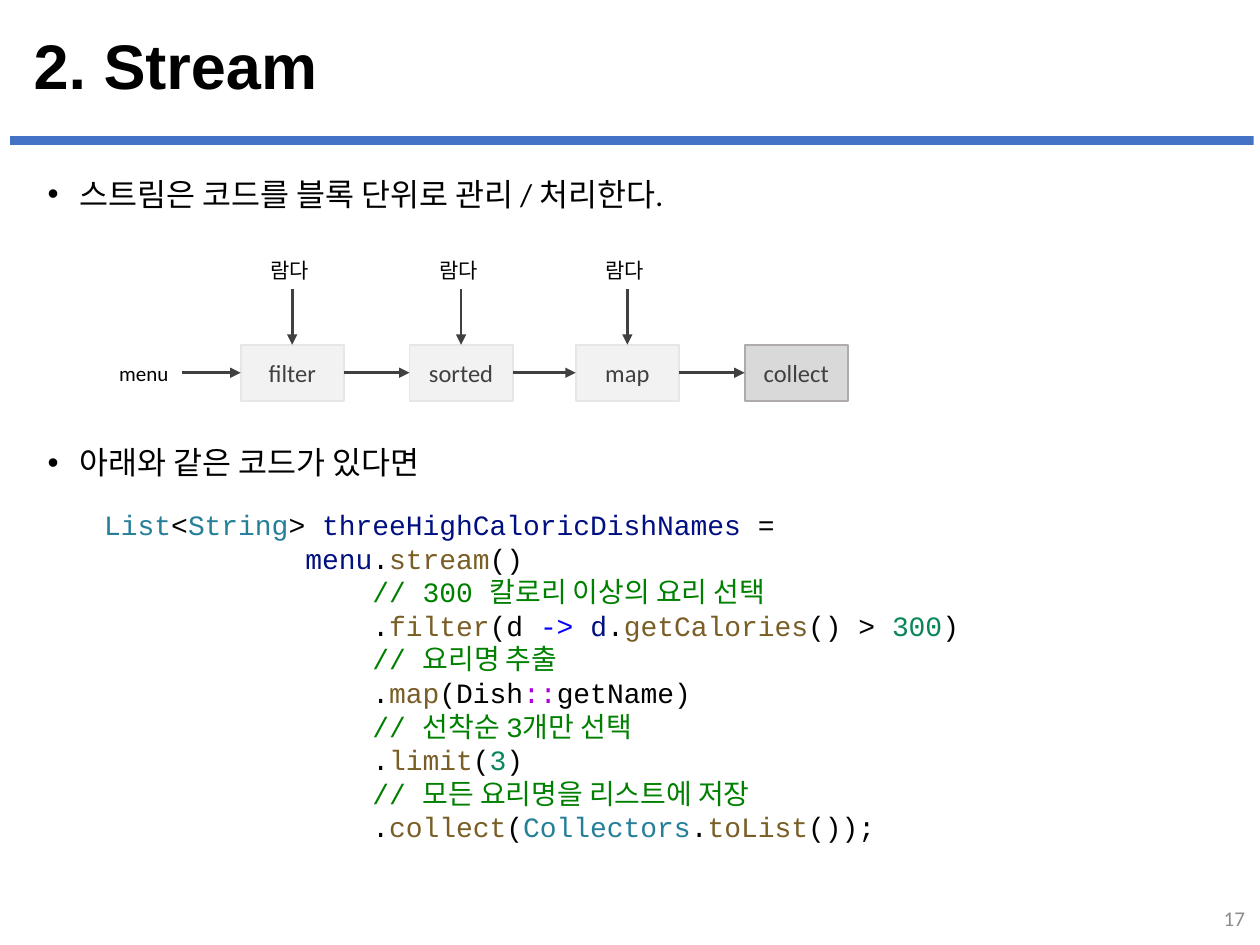
from lxml.etree import SubElement
from pptx import Presentation
from pptx.dml.color import RGBColor
from pptx.enum.shapes import MSO_CONNECTOR, MSO_SHAPE
from pptx.enum.text import MSO_ANCHOR, MSO_AUTO_SIZE, PP_ALIGN
from pptx.oxml.ns import qn
from pptx.util import Pt

BLACK = RGBColor(0x00, 0x00, 0x00)
BLUE = RGBColor(0x44, 0x72, 0xC4)
DARK = RGBColor(0x40, 0x40, 0x40)
MUTED = RGBColor(0x8C, 0x8C, 0x8C)
PALE = RGBColor(0xF2, 0xF2, 0xF2)
PALE_EDGE = RGBColor(0xE7, 0xE6, 0xE6)
GREY = RGBColor(0xD9, 0xD9, 0xD9)
GREY_EDGE = RGBColor(0xAF, 0xAB, 0xAB)
# Code colours
TYPE = RGBColor(0x26, 0x7F, 0x99)
VARIABLE = RGBColor(0x00, 0x10, 0x80)
METHOD = RGBColor(0x79, 0x5E, 0x26)
COMMENT = RGBColor(0x00, 0x80, 0x00)
ARROW = RGBColor(0x00, 0x00, 0xFF)
NUMBER = RGBColor(0x09, 0x86, 0x58)
REFERENCE = RGBColor(0xAF, 0x00, 0xDB)

# Content
TITLE = "2. Stream"
PAGE = "17"
BULLETS = [  # text, space before
    ("스트림은 코드를 블록 단위로 관리 / 처리한다.", 0),
    ("아래와 같은 코드가 있다면", 134),
]
SOURCE, LAMBDA = "menu", "람다"
STAGES = [  # name, left, takes a lambda, fill, edge
    ("filter", 137.5, True, PALE, PALE_EDGE),
    ("sorted", 234, True, PALE, PALE_EDGE),
    ("map", 329, True, PALE, PALE_EDGE),
    ("collect", 425.5, False, GREY, GREY_EDGE),
]
CODE = [  # indent in characters, coloured pieces
    (0, [("List", TYPE), ("<", BLACK), ("String", TYPE), ("> ", BLACK),
         ("threeHighCaloricDishNames", VARIABLE), (" =", BLACK)]),
    (12, [("menu", VARIABLE), (".", BLACK), ("stream", METHOD), ("()", BLACK)]),
    (16, [("// 300 칼로리 이상의 요리 선택", COMMENT)]),
    (16, [(".", BLACK), ("filter", METHOD), ("(d ", BLACK), ("-> ", ARROW),
          ("d", VARIABLE), (".", BLACK), ("getCalories", METHOD),
          ("() > ", BLACK), ("300", NUMBER), (")", BLACK)]),
    (16, [("// 요리명 추출", COMMENT)]),
    (16, [(".", BLACK), ("map", METHOD), ("(Dish", BLACK),
          ("::", REFERENCE), ("getName)", BLACK)]),
    (16, [("// 선착순 3개만 선택", COMMENT)]),
    (16, [(".", BLACK), ("limit", METHOD), ("(", BLACK), ("3", NUMBER), (")", BLACK)]),
    (16, [("// 모든 요리명을 리스트에 저장", COMMENT)]),
    (16, [(".", BLACK), ("collect", METHOD), ("(", BLACK), ("Collectors", TYPE),
          (".", BLACK), ("toList", METHOD), ("());", BLACK)]),
]

# Pipeline geometry
STAGE_W, STAGE_H, STAGE_TOP = 59, 32, 197
FLOW_Y = STAGE_TOP + STAGE_H / 2
LAMBDA_TOP, LAMBDA_W, LABEL_H = 143.5, 39, 21.8
SOURCE_LEFT, SOURCE_W = 61, 43

presentation = Presentation()
presentation.slide_width, presentation.slide_height = Pt(720), Pt(540)
slide = presentation.slides.add_slide(presentation.slide_layouts[1])


def place(shape, left, top, width, height):
    shape.left, shape.top = Pt(left), Pt(top)
    shape.width, shape.height = Pt(width), Pt(height)


def style(paragraph, size, color, name="Calibri"):
    paragraph.font.name = name
    paragraph.font.size = Pt(size)
    paragraph.font.color.rgb = color


def add_rectangle(left, top, width, height, fill, edge=None):
    rectangle = slide.shapes.add_shape(
        MSO_SHAPE.RECTANGLE, Pt(left), Pt(top), Pt(width), Pt(height))
    rectangle.shadow.inherit = False
    rectangle.fill.solid()
    rectangle.fill.fore_color.rgb = fill
    if edge is None:
        rectangle.line.fill.background()
    else:
        rectangle.line.color.rgb = edge
        rectangle.line.width = Pt(1)
    return rectangle


def add_label(text, left, top, width, height, color=BLACK, align=PP_ALIGN.LEFT):
    label = slide.shapes.add_textbox(Pt(left), Pt(top), Pt(width), Pt(height))
    label.text_frame.word_wrap = False
    label.text_frame.vertical_anchor = MSO_ANCHOR.MIDDLE
    paragraph = label.text_frame.paragraphs[0]
    paragraph.text = text
    paragraph.alignment = align
    style(paragraph, 12, color)


def add_arrow(x1, y1, x2, y2):
    arrow = slide.shapes.add_connector(
        MSO_CONNECTOR.STRAIGHT, Pt(x1), Pt(y1), Pt(x2), Pt(y2))
    arrow.line.color.rgb = DARK
    arrow.line.width = Pt(1.5)
    SubElement(arrow.line._get_or_add_ln(), qn("a:tailEnd"), type="triangle")
    SubElement(arrow._element.spPr, qn("a:effectLst"))


# Title and rule
title = slide.shapes.title
place(title, 12, 16, 696, 47.5)
title.text_frame.text = TITLE
title.text_frame.vertical_anchor = MSO_ANCHOR.MIDDLE
title.text_frame.auto_size = MSO_AUTO_SIZE.NONE
heading = title.text_frame.paragraphs[0]
heading.alignment = PP_ALIGN.LEFT
heading.line_spacing = 0.9
style(heading, 36, BLACK, "Arial")
heading.font.bold = True
add_rectangle(5.76, 77.76, 710.64, 5.04, BLUE)

# Bullets
body = slide.placeholders[1]
place(body, 20, 98.6, 677, 431)
body.text_frame.auto_size = MSO_AUTO_SIZE.NONE
body.text_frame.text = "\n".join(text for text, _ in BULLETS)
for paragraph, (_, gap) in zip(body.text_frame.paragraphs, BULLETS):
    properties = paragraph._p.get_or_add_pPr()
    properties.set("marL", str(Pt(18)))
    properties.set("indent", str(-Pt(18)))
    paragraph.space_before = Pt(gap)
    paragraph.line_spacing = 0.9
    style(paragraph, 18, BLACK)

# Page number
add_label(PAGE, 556.5, 510.5, 162, 28.8, MUTED, PP_ALIGN.RIGHT)

# Pipeline: each stage is fed from the left, most also by a lambda above
add_label(SOURCE, SOURCE_LEFT, FLOW_Y - LABEL_H / 2, SOURCE_W, LABEL_H)
previous_right = SOURCE_LEFT + SOURCE_W
for name, left, takes_lambda, fill, edge in STAGES:
    stage = add_rectangle(left, STAGE_TOP, STAGE_W, STAGE_H, fill, edge)
    stage.text_frame.word_wrap = False
    stage.text_frame.vertical_anchor = MSO_ANCHOR.MIDDLE
    paragraph = stage.text_frame.paragraphs[0]
    paragraph.text = name
    paragraph.alignment = PP_ALIGN.CENTER
    style(paragraph, 14, DARK)
    add_arrow(previous_right, FLOW_Y, left, FLOW_Y)
    previous_right = left + STAGE_W
    if takes_lambda:
        center = left + STAGE_W / 2
        add_label(LAMBDA, center - LAMBDA_W / 2, LAMBDA_TOP, LAMBDA_W, LABEL_H)
        add_arrow(center, LAMBDA_TOP + LABEL_H, center, STAGE_TOP)

# Code
code = slide.shapes.add_textbox(Pt(52.5), Pt(286.5), Pt(637), Pt(206)).text_frame
code.word_wrap = True
for index, (indent, pieces) in enumerate(CODE):
    line = code.add_paragraph() if index else code.paragraphs[0]
    line.font.name = "Courier New"
    line.font.size = Pt(16)
    if indent:
        line.add_run().text = " " * indent
    for text, color in pieces:
        piece = line.add_run()
        piece.text = text
        piece.font.color.rgb = color

presentation.save("out.pptx")
